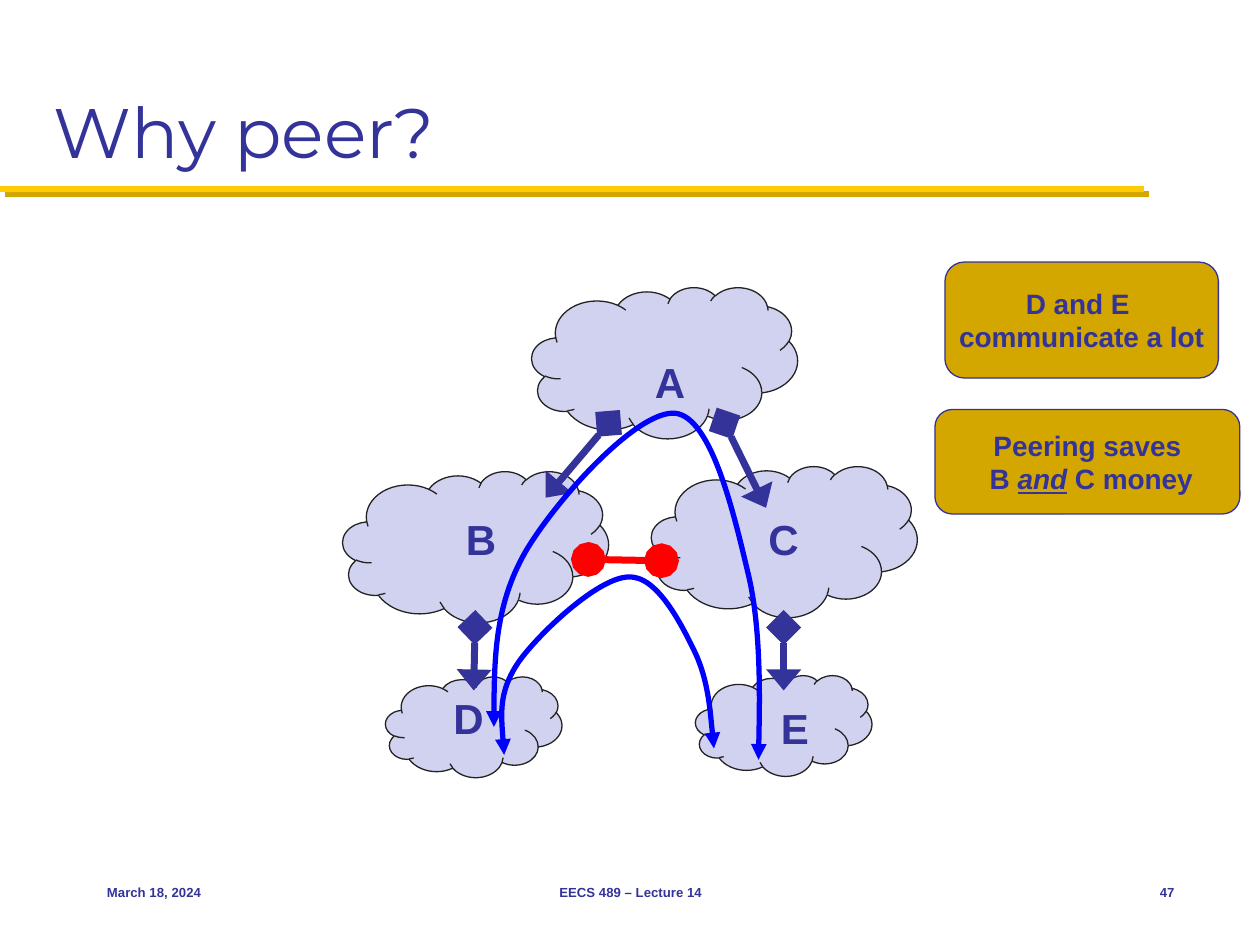
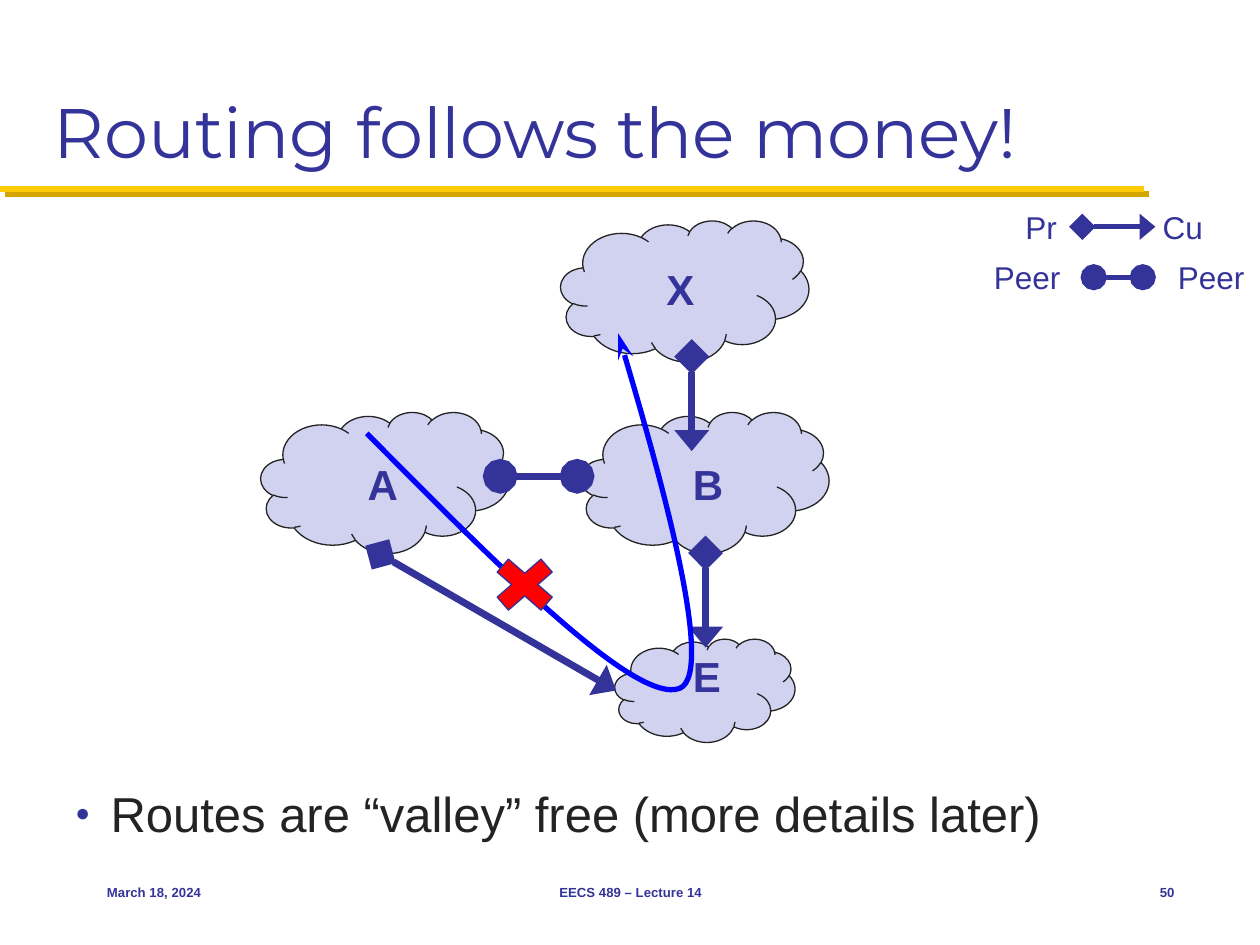
from dataclasses import dataclass
from typing import Any, NamedTuple

import lxml.etree
import pptx
import pptx.dml.color
import pptx.enum.shapes
import pptx.enum.text
import pptx.oxml.ns
import pptx.util

COLUMNS, ROWS = 100, 75
WIDTH, HEIGHT = pptx.util.Inches(10), pptx.util.Inches(7.5)

COLORS = {
    "navy": "333399",
    "gold": "FFCB05",
    "dark gold": "D3A600",
    "cloud": "D1D1F0",
    "ink": "232323",
    "route": "0000FF",
    "red": "FF0000",
}
LABEL = {"name": "Arial", "size": pptx.util.Pt(24), "bold": True}
CALLOUT = LABEL | {"size": pptx.util.Pt(16)}
FOOTER = LABEL | {"size": pptx.util.Pt(7.5)}
LEGEND = {"name": "Arial", "size": pptx.util.Pt(18)}
BODY = LEGEND | {"size": pptx.util.Pt(28)}
TITLE = {"name": "Montserrat", "size": pptx.util.Pt(40)}
EMPHASIS = {"italic": True, "underline": True}

Shape = pptx.enum.shapes.MSO_SHAPE
Align = pptx.enum.text.PP_ALIGN
Anchor = pptx.enum.text.MSO_ANCHOR
Point = tuple[float, float]


class Box(NamedTuple):
    left: float
    top: float
    width: float
    height: float


class Tip(NamedTuple):
    """A line end: its kind, width and length."""
    kind: str
    width: str
    length: str


DIAMOND = Tip("diamond", "lg", "lg")
OVAL = Tip("oval", "lg", "lg")
TRIANGLE = Tip("triangle", "lg", "med")
ROUTE_TIP = Tip("triangle", "med", "med")
STEALTH = Tip("stealth", "med", "lg")


@dataclass(frozen=True)
class Text:
    text: str
    box: Box
    font: dict[str, Any]
    color: str = "navy"
    align: Any = Align.LEFT
    anchor: Any = Anchor.TOP
    wrap: bool = False


@dataclass(frozen=True)
class Link:
    start: Point
    end: Point
    head: Tip | None = DIAMOND
    tail: Tip | None = TRIANGLE
    color: str = "navy"
    weight: float = 4


@dataclass(frozen=True)
class Route:
    """A chain of cubic curves: a start, then two controls and an end for each."""
    points: list[Point]
    rotation: float = 0
    head: Tip | None = ROUTE_TIP
    tail: Tip | None = ROUTE_TIP
    color: str = "route"
    weight: float = 3


@dataclass(frozen=True)
class Callout:
    lines: list[list[tuple[str, dict[str, Any]]]]
    box: Box


def across(columns: float) -> int:
    return round(WIDTH * columns / COLUMNS)


def down(rows: float) -> int:
    return round(HEIGHT * rows / ROWS)


def place(box: Box) -> tuple[int, int, int, int]:
    return across(box.left), down(box.top), across(box.width), down(box.height)


def rgb(color: str) -> pptx.dml.color.RGBColor:
    return pptx.dml.color.RGBColor.from_string(COLORS[color])


def set_all(target: Any, values: dict[str, Any]) -> None:
    for name, value in values.items():
        setattr(target, name, value)


def add_child(parent: Any, tag: str, **attributes: str) -> Any:
    return lxml.etree.SubElement(parent, pptx.oxml.ns.qn(tag), attributes)


def set_line(shape: Any, color: str, weight: float) -> None:
    shape.line.color.rgb = rgb(color)
    shape.line.width = pptx.util.Pt(weight)


def style_stroke(shape: Any, stroke: Link | Route) -> Any:
    """Colour the line, add its tips and return its empty effect list."""
    set_line(shape, stroke.color, stroke.weight)
    properties = shape.element.spPr
    outline = properties.find(pptx.oxml.ns.qn("a:ln"))
    for tag, tip in (("a:headEnd", stroke.head), ("a:tailEnd", stroke.tail)):
        if tip:
            add_child(outline, tag, type=tip.kind, w=tip.width, len=tip.length)
    return add_child(properties, "a:effectLst")


def add_link(slide: Any, link: Link) -> Any:
    (x1, y1), (x2, y2) = link.start, link.end
    connector = slide.shapes.add_connector(
        pptx.enum.shapes.MSO_CONNECTOR.STRAIGHT, across(x1), down(y1), across(x2), down(y2))
    return style_stroke(connector, link)


def add_route(slide: Any, route: Route) -> None:
    """Draw straight segments between the ends, then bend each into a cubic curve."""
    points = [(across(x), down(y)) for x, y in route.points]
    builder = slide.shapes.build_freeform(*points[0])
    builder.add_line_segments(points[3::3], close=False)
    shape = builder.convert_to_shape()
    segments = list(shape.element.iter(pptx.oxml.ns.qn("a:lnTo")))
    for segment, *controls in zip(segments, points[1::3], points[2::3]):
        segment.tag = pptx.oxml.ns.qn("a:cubicBezTo")
        end = segment[0]
        for x, y in controls:
            add_child(segment, "a:pt", x=str(x - shape.left), y=str(y - shape.top))
        segment.append(end)
    shape.rotation = route.rotation
    shape.fill.background()
    style_stroke(shape, route)


def add_solid(slide: Any, kind: Any, box: Box, fill: str, line: str = "navy") -> Any:
    shape = slide.shapes.add_shape(kind, *place(box))
    shape.shadow.inherit = False
    shape.fill.solid()
    shape.fill.fore_color.rgb = rgb(fill)
    set_line(shape, line, 0.75)
    return shape


def add_clouds(slide: Any, boxes: list[Box]) -> None:
    for box in boxes:
        add_solid(slide, Shape.CLOUD, box, "cloud", "ink")


def add_run(paragraph: Any, text: str, font: dict[str, Any], color: str) -> None:
    run = paragraph.add_run()
    run.text = text
    set_all(run.font, font)
    run.font.color.rgb = rgb(color)


def add_text(slide: Any, item: Text) -> Any:
    frame = slide.shapes.add_textbox(*place(item.box)).text_frame
    set_all(frame, {"word_wrap": item.wrap, "vertical_anchor": item.anchor})
    paragraph = frame.paragraphs[0]
    paragraph.alignment = item.align
    add_run(paragraph, item.text, item.font, item.color)
    return paragraph


def add_labels(slide: Any, font: dict[str, Any], labels: list[tuple[str, Box]]) -> None:
    for text, box in labels:
        add_text(slide, Text(text, box, font))


def add_callout(slide: Any, callout: Callout) -> None:
    frame = add_solid(slide, Shape.ROUNDED_RECTANGLE, callout.box, "dark gold").text_frame
    set_all(frame, {"word_wrap": False, "vertical_anchor": Anchor.MIDDLE})
    paragraph = frame.paragraphs[0]
    paragraph.alignment = Align.CENTER
    for index, line in enumerate(callout.lines):
        if index:
            paragraph.add_line_break()
        for text, extra in line:
            add_run(paragraph, text, CALLOUT | extra, "navy")


def add_bullet(slide: Any, item: Text) -> None:
    paragraph = add_text(slide, item)
    paragraph.space_before = pptx.util.Pt(3)
    properties = paragraph._p.get_or_add_pPr()
    properties.set("marL", str(across(2.8)))
    properties.set("indent", str(-across(2.8)))
    add_child(add_child(properties, "a:buClr"), "a:srgbClr", val=COLORS["navy"])
    add_child(properties, "a:buSzPct", val="50000")
    add_child(properties, "a:buFont", typeface="Arial")
    add_child(properties, "a:buChar", char="●")


def add_slide(presentation: Any, title: str, number: int) -> Any:
    """Add a slide with the shared rule, title and footer."""
    slide = presentation.slides.add_slide(presentation.slide_layouts[6])
    effects = add_link(slide, Link((0, 15), (90.8, 15), None, None, "gold", 3.5))
    shadow = add_child(effects, "a:outerShdw", dist=str(pptx.util.Pt(4.2)),
                       dir="2700000", algn="ctr", rotWithShape="0")
    add_child(shadow, "a:srgbClr", val=COLORS["dark gold"])
    add_text(slide, Text(title, Box(3.3, 1.7, 93.3, 12.5), TITLE,
                         anchor=Anchor.BOTTOM, wrap=True))
    for text, left, width, align in (
        ("March 18, 2024", 7.5, 20.8, Align.LEFT),
        ("EECS 489 – Lecture 14", 34.2, 31.7, Align.CENTER),
        (str(number), 87.5, 6.7, Align.RIGHT),
    ):
        add_text(slide, Text(text, Box(left, 68.3, width, 5), FOOTER,
                             align=align, anchor=Anchor.MIDDLE, wrap=True))
    return slide


def build_peering(presentation: Any) -> None:
    slide = add_slide(presentation, "Why peer?", 47)
    small, large = (14, 8), (21.1, 12)
    add_clouds(slide, [Box(55.2, 53.6, *small), Box(30.6, 53.7, *small),
                       Box(42.2, 22.8, *large), Box(51.7, 37, *large), Box(27.2, 37.4, *large)])
    for link in (
        Link((46.7, 44.4), (52.5, 44.5), OVAL, OVAL, "red"),
        Link((37.7, 49.8), (37.6, 54.8)),
        Link((62.2, 49.8), (62.2, 54.8)),
        Link((57.5, 33.6), (60.8, 40.3)),
        Link((48.3, 33.6), (43.3, 39.5)),
    ):
        add_link(slide, link)
    add_labels(slide, LABEL, [
        (name, Box(left, top, 4, 5)) for name, left, top in (
            ("A", 51, 27.8), ("B", 36, 40.3), ("C", 60, 40.3), ("D", 35, 54.5), ("E", 61, 55.3))
    ])
    add_route(slide, Route([
        (39.2, 57.7), (39.2, 52.9), (39.3, 48), (41.7, 43.8), (44.1, 39.7), (50.6, 32.5),
        (53.6, 32.8), (56.5, 33.1), (58.3, 41), (59.4, 45.6), (60.5, 50.2), (60.2, 60.3),
        (60.2, 60.3)]))
    add_callout(slide, Callout([[("D and E ", {})], [("communicate a lot", {})]],
                               Box(75, 20.8, 21.7, 9.2)))
    add_callout(slide, Callout([[("Peering saves", {})],
                                [(" B ", {}), ("and", EMPHASIS), (" C money", {})]],
                               Box(74.2, 32.5, 24.2, 8.3)))
    add_route(slide, Route([
        (39.3, 59), (39.4, 56.5), (39.4, 54), (41.3, 51.8), (43.2, 49.7), (48.3, 45.9),
        (50.7, 46.1), (53, 46.2), (54.5, 50.4), (55.3, 52.7), (56.1, 55.1), (55.9, 60.4),
        (55.9, 60.4)], rotation=353.4))


def build_routing(presentation: Any) -> None:
    slide = add_slide(presentation, "Routing follows the money!", 50)
    large = (19.7, 11.2)
    add_clouds(slide, [Box(48.8, 50.7, 14.3, 8.2), Box(46.1, 32.7, *large),
                       Box(20.7, 32.7, *large)])
    for link in (
        Link((39.7, 37.8), (45.8, 37.8), OVAL, OVAL),
        Link((30.2, 44), (48.9, 54.8)),
        Link((56, 43.9), (56, 51.4)),
        Link((85.9, 18), (91.7, 18), weight=3),
        Link((86.8, 22), (90.7, 22), OVAL, OVAL, weight=3),
    ):
        add_link(slide, link)
    add_labels(slide, LABEL, [("A", Box(28.2, 35.9, 3.9, 3.7)), ("B", Box(54, 35.9, 3.7, 3.7)),
                              ("E", Box(54, 51.1, 3.7, 3.7))])
    add_labels(slide, LEGEND, [("Pr", Box(80.4, 16, 4.7, 4)), ("Cu", Box(91.3, 16, 5.4, 4)),
                               ("Peer", Box(77.9, 20, 7.5, 4)), ("Peer", Box(92.5, 20, 7.5, 4))])
    add_bullet(slide, Text("Routes are “valley” free (more details later)",
                           Box(5, 61.7, 90, 11.7), BODY, "ink", wrap=True))
    add_clouds(slide, [Box(44.5, 17.5, *large)])
    add_link(slide, Link((54.9, 28.3), (54.9, 35.8)))
    add_labels(slide, LABEL, [("X", Box(51.9, 20.4, 4.3, 5))])
    add_route(slide, Route([
        (30.6, 32.5), (39.3, 44.9), (48.1, 57.3), (51.7, 56.6), (55.1, 55.9), (51.6, 28),
        (51.6, 28)], rotation=350.4, head=None, tail=STEALTH))
    add_solid(slide, Shape.MATH_MULTIPLY, Box(38.3, 43.5, 6.7, 5.8), "red")


def main() -> None:
    presentation = pptx.Presentation()
    set_all(presentation, {"slide_width": WIDTH, "slide_height": HEIGHT})
    build_peering(presentation)
    build_routing(presentation)
    presentation.save("out.pptx")


if __name__ == "__main__":
    main()
